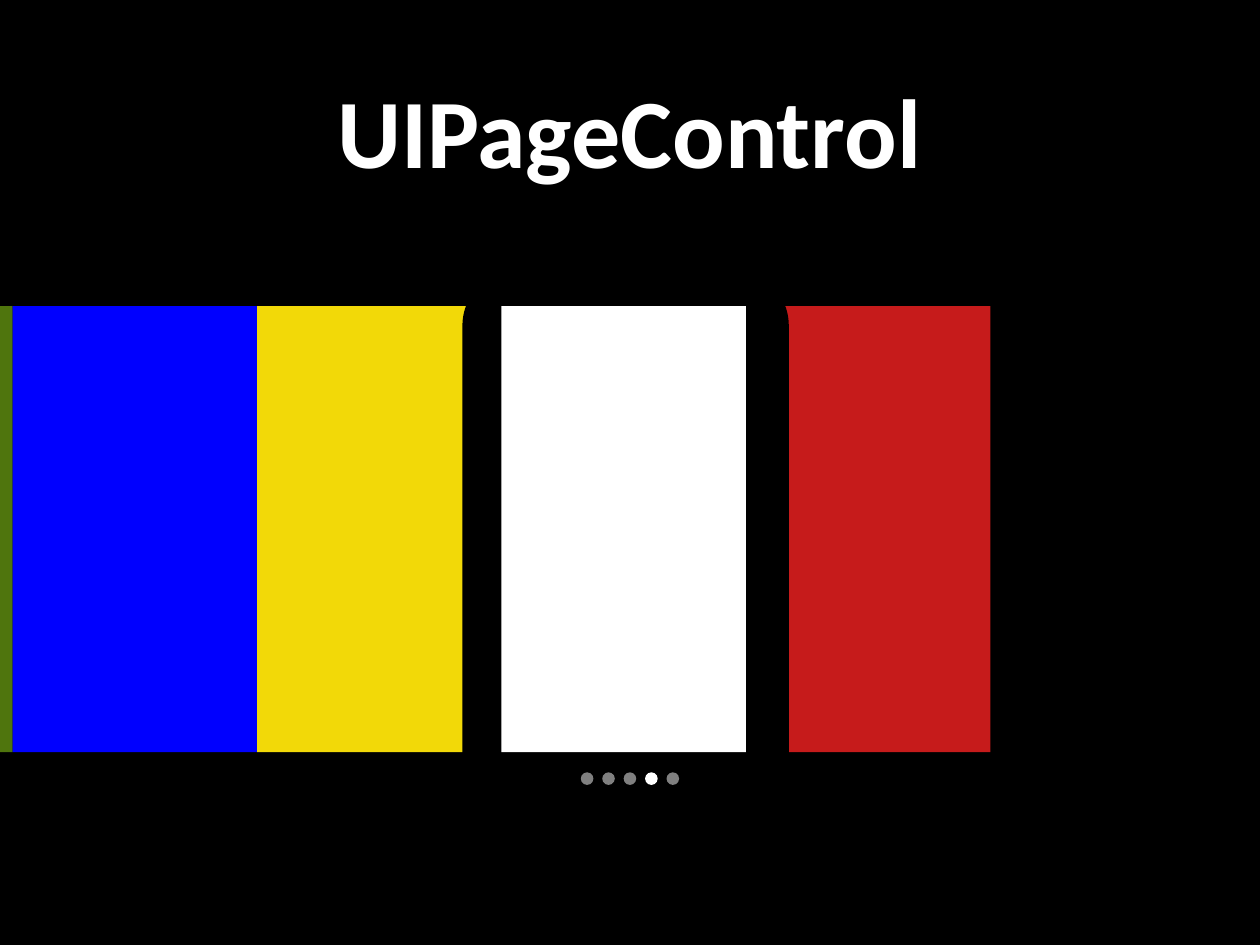
from pptx import Presentation
from pptx.dml.color import RGBColor
from pptx.enum import shapes, text
from pptx.util import Inches, Pt

COLORS = {
    "black": "000000", "white": "FFFFFF", "gray": "808080",
    "green": "4F750D", "blue": "0000FF", "yellow": "F2D908", "red": "C61B1B",
}
TITLE = "UIPageControl"
PAGES = ["green", "blue", "yellow", "white", "red"]
CURRENT = 3

PAGE_LEFT, PAGE_TOP, PAGE_W, PAGE_H = -1.84, 2.43, 1.94, 3.54
FRAME = (3.67, 2.15, 2.59, 4.41)
DOT_LEFT, DOT_TOP, DOT_SIZE, DOT_STEP = 4.61, 6.13, 0.1, 0.17

KIND = shapes.MSO_SHAPE


def rgb(name):
    return RGBColor.from_string(COLORS[name])


def add_shape(slide, kind, box, color):
    shape = slide.shapes.add_shape(kind, *map(Inches, box))
    shape.shadow.inherit = False
    shape.fill.solid()
    shape.fill.fore_color.rgb = rgb(color)
    shape.line.fill.background()


def add_page(slide, index):
    box = (PAGE_LEFT + index * PAGE_W, PAGE_TOP, PAGE_W, PAGE_H)
    add_shape(slide, KIND.RECTANGLE, box, PAGES[index])


def add_title(slide):
    box = slide.shapes.add_textbox(*map(Inches, (0.85, 0.12, 8.29, 1.81)))
    frame = box.text_frame
    frame.word_wrap = True
    frame.vertical_anchor = text.MSO_ANCHOR.MIDDLE
    para = frame.paragraphs[0]
    para.alignment = text.PP_ALIGN.CENTER
    run = para.add_run()
    run.text = TITLE
    run.font.name = "Calibri"
    run.font.size = Pt(56)
    run.font.bold = True
    run.font.color.rgb = rgb("white")


def main():
    deck = Presentation()
    deck.slide_width, deck.slide_height = Inches(10), Inches(7.5)
    slide = deck.slides.add_slide(deck.slide_layouts[6])
    slide.background.fill.solid()
    slide.background.fill.fore_color.rgb = rgb("black")

    # The device frame covers its neighbours; the current page sits on top.
    for index in range(len(PAGES)):
        if index != CURRENT:
            add_page(slide, index)
    add_shape(slide, KIND.ROUNDED_RECTANGLE, FRAME, "black")
    add_page(slide, CURRENT)

    add_title(slide)
    for index in range(len(PAGES)):
        box = (DOT_LEFT + index * DOT_STEP, DOT_TOP, DOT_SIZE, DOT_SIZE)
        add_shape(slide, KIND.OVAL, box, "white" if index == CURRENT else "gray")

    deck.save("out.pptx")


if __name__ == "__main__":
    main()
